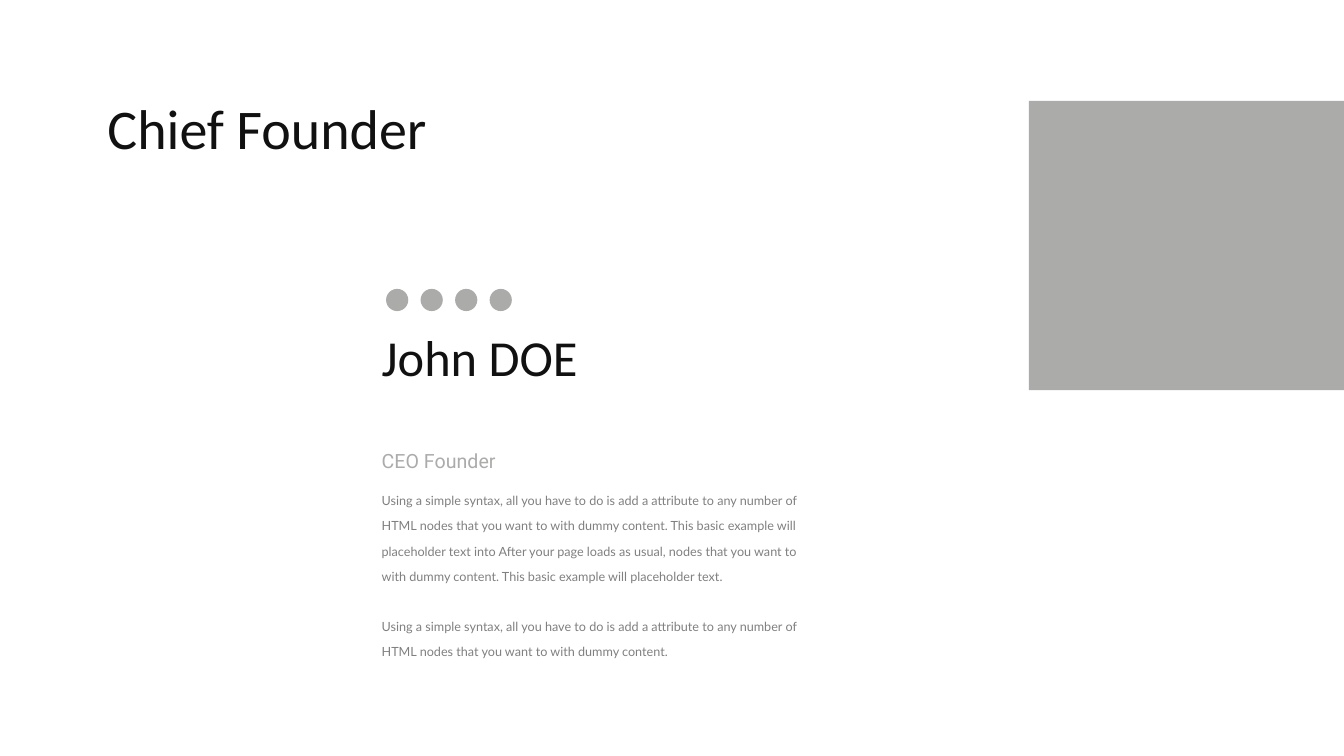
"""Build the founder profile slide."""
import pptx
import pptx.util
import pptx.dml.color
import pptx.enum.shapes
import pptx.enum.text

Cm, Pt = pptx.util.Cm, pptx.util.Pt
SHAPE = pptx.enum.shapes.MSO_SHAPE
ANCHOR = pptx.enum.text.MSO_ANCHOR

INK, SILVER, GREY = "111111", "ABACAA", "808080"
SLIDE_WIDTH, SLIDE_HEIGHT = 33.87, 19.05
PROFILE_LEFT = 9.37

HEADING = ["Chief Founder"]
PERSON = ["John DOE"]
ROLE = ["CEO Founder"]
BIOGRAPHY = [
    "Using a simple syntax, all you have to do is add a attribute to any number of "
    "HTML nodes that you want to with dummy content. This basic example will "
    "placeholder text into After your page loads as usual, nodes that you want to "
    "with dummy content. This basic example will placeholder text.",
    "Using a simple syntax, all you have to do is add a attribute to any number of "
    "HTML nodes that you want to with dummy content.",
]
TEXTS = [
    (HEADING, (2.46, 2.34, 11.13, 1.88), "Calibri", 40, INK, 45, ANCHOR.TOP),
    (PERSON, (PROFILE_LEFT, 8.1, 9.73, 1.8), "Calibri", 36, INK, None, ANCHOR.TOP),
    (ROLE, (PROFILE_LEFT, 11.2, 9.09, 0.86), "Roboto", 14, SILVER, None, ANCHOR.TOP),
    (BIOGRAPHY, (PROFILE_LEFT, 12.07, 11.05, 4.65), "Lato", 9, GREY, 18, ANCHOR.MIDDLE),
]

PANEL_LEFT, PANEL_TOP, PANEL_HEIGHT = 25.93, 2.54, 7.29
BADGE_COUNT, BADGE_LEFT, BADGE_TOP = 4, 9.73, 7.28
BADGE_SIZE, BADGE_PITCH = 0.56, 0.87


def colour(hex_text):
    return pptx.dml.color.RGBColor.from_string(hex_text)


def add_block(slide, preset, box):
    block = slide.shapes.add_shape(preset, *map(Cm, box))
    block.shadow.inherit = False
    block.fill.solid()
    block.fill.fore_color.rgb = colour(SILVER)
    block.line.fill.background()


def add_text(slide, paragraphs, box, font, size, ink, leading, anchor):
    frame = slide.shapes.add_textbox(*map(Cm, box)).text_frame
    frame.word_wrap = True
    frame.vertical_anchor = anchor
    for index, wording in enumerate(paragraphs):
        paragraph = frame.add_paragraph() if index else frame.paragraphs[0]
        if leading:
            paragraph.line_spacing = Pt(leading)
        if index:
            paragraph.space_before = Pt(leading)
        run = paragraph.add_run()
        run.text = wording
        run.font.name = font
        run.font.size = Pt(size)
        run.font.color.rgb = colour(ink)


def main():
    deck = pptx.Presentation()
    deck.slide_width, deck.slide_height = Cm(SLIDE_WIDTH), Cm(SLIDE_HEIGHT)
    slide = deck.slides.add_slide(deck.slide_layouts[6])
    panel_width = SLIDE_WIDTH - PANEL_LEFT
    add_block(slide, SHAPE.RECTANGLE, (PANEL_LEFT, PANEL_TOP, panel_width, PANEL_HEIGHT))
    for index in range(BADGE_COUNT):
        left = BADGE_LEFT + index * BADGE_PITCH
        add_block(slide, SHAPE.OVAL, (left, BADGE_TOP, BADGE_SIZE, BADGE_SIZE))
    for entry in TEXTS:
        add_text(slide, *entry)
    deck.save("out.pptx")


if __name__ == "__main__":
    main()
